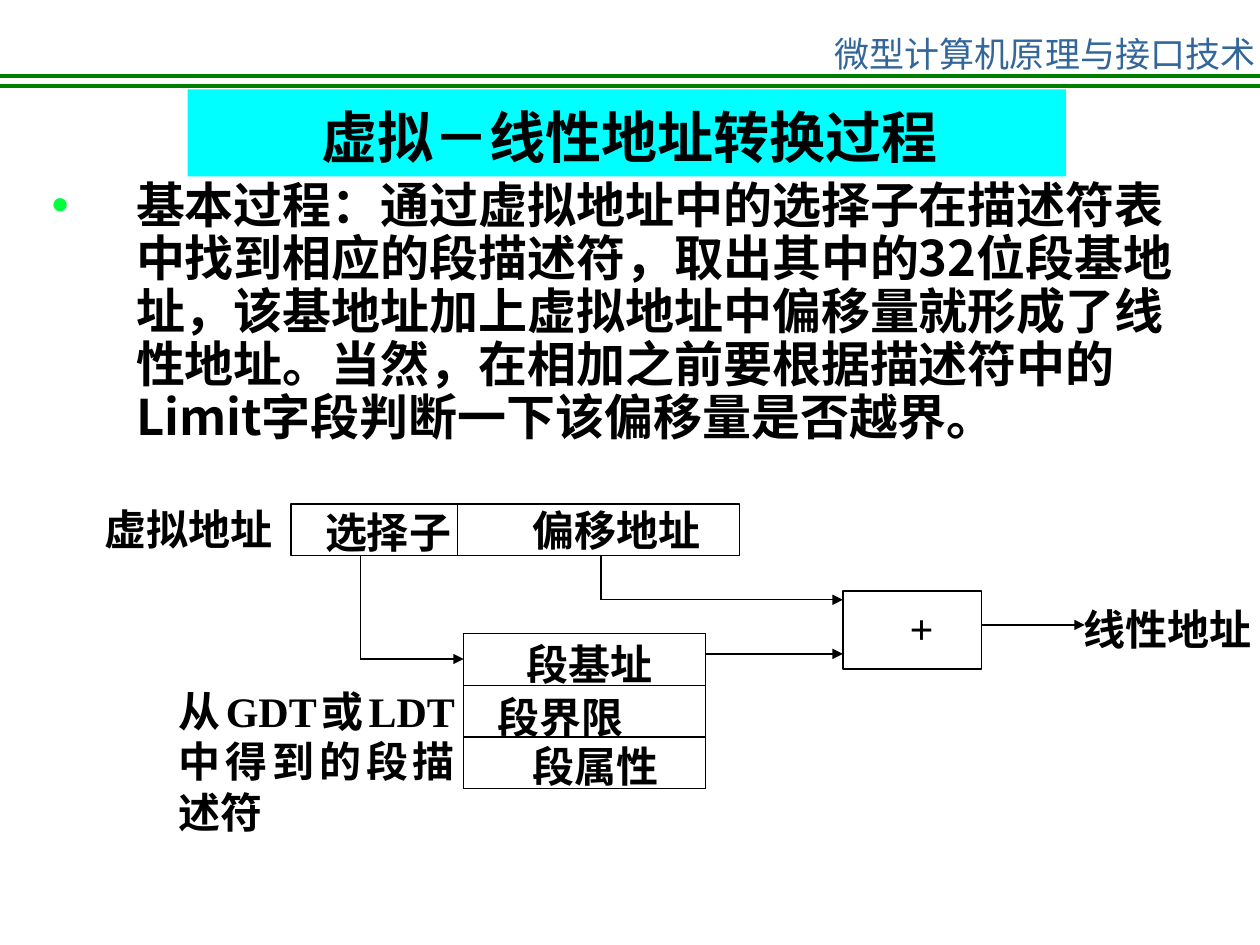
from lxml import etree
from pptx import Presentation
from pptx import util as u
from pptx.dml.color import RGBColor
from pptx.enum import shapes, text
from pptx.oxml import ns

SERIF, SANS = "Times New Roman", "Noto Sans CJK SC"
BLACK, WHITE, GREEN, BLUE, CYAN = "000000", "FFFFFF", "008000", "336699", "00FFFF"
LEFT, CENTER, JUSTIFY = text.PP_ALIGN.LEFT, text.PP_ALIGN.CENTER, text.PP_ALIGN.JUSTIFY
WIDTH, HEIGHT = 10, 7.5

# Content
HEADER = "微型计算机原理与接口技术"
TITLE = "虚拟－线性地址转换过程"
BODY = ("基本过程：通过虚拟地址中的选择子在描述符表中找到相应的段描述符，"
        "取出其中的32位段基地址，该基地址加上虚拟地址中偏移量就形成了线性地址。"
        "当然，在相加之前要根据描述符中的Limit字段判断一下该偏移量是否越界。")
LABELS = [  # wording, left, top, width, height
    ("选择子", 2.58, 4.02, 1.1, 0.39),
    ("偏移地址", 4.23, 4, 1.64, 0.62),
    ("段基址", 4.18, 5.07, 1.64, 0.62),
    ("段界限", 3.95, 5.49, 1.64, 0.62),
    ("段属性", 4.23, 5.88, 1.64, 0.62),
    ("+", 7.22, 4.78, 1.64, 0.61),
    ("虚拟地址", 0.83, 4, 1.42, 0.33),
    ("从GDT或LDT中得到的段描述符", 1.42, 5.44, 2.19, 1.44),
    ("线性地址", 8.6, 4.79, 1.64, 0.61),
]

# Diagram geometry: left, top, width, height
ADDRESS = (2.31, 4, 3.56, 0.41)
ROW = 0.41
DESCRIPTOR = (3.68, 5.03, 1.92, 3 * ROW)
ADDER = (6.69, 4.69, 1.1, 0.62)
ADDRESS_BOTTOM = ADDRESS[1] + ADDRESS[3]
DESCRIPTOR_RIGHT = DESCRIPTOR[0] + DESCRIPTOR[2]
ADDER_RIGHT = ADDER[0] + ADDER[2]
SELECTOR_X, OFFSET_X, SPLIT_X = 2.86, 4.77, 3.63
BASE_Y, OFFSET_Y, SUM_Y = 5.23, 4.76, 4.96

PLAIN_LINES = [
    (SPLIT_X, ADDRESS[1], SPLIT_X, ADDRESS_BOTTOM),
    (OFFSET_X, ADDRESS_BOTTOM, OFFSET_X, OFFSET_Y),
    (SELECTOR_X, ADDRESS_BOTTOM, SELECTOR_X, BASE_Y),
] + [(DESCRIPTOR[0], DESCRIPTOR[1] + row * ROW, DESCRIPTOR_RIGHT, DESCRIPTOR[1] + row * ROW)
     for row in (1, 2, 3)]
ARROWS = [
    (SELECTOR_X, BASE_Y, DESCRIPTOR[0], BASE_Y),
    (OFFSET_X, OFFSET_Y, ADDER[0], OFFSET_Y),
    (DESCRIPTOR_RIGHT, 5.19, ADDER[0], 5.19),
    (ADDER_RIGHT, SUM_Y, 8.61, SUM_Y),
]


def inches(values):
    return [u.Inches(value) for value in values]


def color(value):
    return RGBColor.from_string(value)


def add_xml(parent, tag, **attributes):
    return etree.SubElement(parent, ns.qn(tag), attributes)


def add_line(slide, ends, line_color=BLACK, width=0.75, arrow=False):
    line = slide.shapes.add_connector(shapes.MSO_CONNECTOR.STRAIGHT, *inches(ends))
    line.line.color.rgb = color(line_color)
    line.line.width = u.Pt(width)
    if arrow:
        add_xml(line.line._ln, "a:tailEnd", type="triangle")
    add_xml(line._element.spPr, "a:effectLst")


def add_box(slide, place, fill, outline=None):
    box = slide.shapes.add_shape(shapes.MSO_SHAPE.RECTANGLE, *inches(place))
    box.shadow.inherit = False
    box.fill.solid()
    box.fill.fore_color.rgb = color(fill)
    if outline:
        box.line.color.rgb = color(outline)
        box.line.width = u.Pt(0.75)
    else:
        box.line.fill.background()


def write(shape, place, wording, size, font=SERIF, ink=BLACK, bold=True,
          align=JUSTIFY, inset=(0, 0), wrap=True, spacing=1.0):
    shape.left, shape.top, shape.width, shape.height = inches(place)
    side, top = inset
    frame = shape.text_frame
    settings = {"word_wrap": wrap, "auto_size": text.MSO_AUTO_SIZE.NONE,
                "vertical_anchor": text.MSO_ANCHOR.TOP,
                "margin_left": u.Inches(side), "margin_right": u.Inches(side),
                "margin_top": u.Inches(top), "margin_bottom": u.Inches(top)}
    for name, value in settings.items():
        setattr(frame, name, value)
    paragraph = frame.paragraphs[0]
    for name, value in {"alignment": align, "line_spacing": spacing,
                        "space_before": u.Pt(0)}.items():
        setattr(paragraph, name, value)
    run = paragraph.add_run()
    run.text = wording
    for name, value in {"name": font, "size": u.Pt(size), "bold": bold}.items():
        setattr(run.font, name, value)
    run.font.color.rgb = color(ink)
    add_xml(run.font._element, "a:ea", typeface=SANS)
    return paragraph


def main():
    presentation = Presentation()
    presentation.slide_width, presentation.slide_height = inches((WIDTH, HEIGHT))
    slide = presentation.slides.add_slide(presentation.slide_layouts[1])
    title, body = slide.placeholders

    # Running header with double rules
    for y, thin_start in ((0.68, 0.59), (0.6, 0.57)):
        add_line(slide, (thin_start, y, WIDTH, y), GREEN)
        add_line(slide, (0, y, WIDTH, y), GREEN, 2.25)
    header = slide.shapes.add_textbox(0, 0, 0, 0)
    write(header, (6.89, 0.21, 2.81, 0.24), HEADER, 20, SANS, BLUE, False,
          CENTER, (0.1, 0.05), wrap=False)

    # Title on its band, then the explanation
    add_box(slide, (1.49, 0.71, 6.97, 0.69), CYAN)
    for placeholder in (title, body):
        slide.shapes._spTree.append(placeholder._element)
    write(title, (0.75, 0.76, 8.5, 0.8), TITLE, 32, align=CENTER, inset=(0.1, 0.05))
    paragraph = write(body, (0.31, 1.39, 9.37, 2.36), BODY, 28, SANS,
                      align=LEFT, inset=(0.1, 0.05), spacing=0.9)
    properties = paragraph._p.get_or_add_pPr()
    properties.set("marL", str(u.Inches(0.67)))
    properties.set("indent", str(u.Inches(-0.67)))
    add_xml(add_xml(properties, "a:buClr"), "a:srgbClr", val="01FF3D")
    add_xml(properties, "a:buChar", char="•")

    # Address translation diagram
    for place in (ADDRESS, DESCRIPTOR, ADDER):
        add_box(slide, place, WHITE, BLACK)
    for ends in PLAIN_LINES:
        add_line(slide, ends)
    for ends in ARROWS:
        add_line(slide, ends, arrow=True)
    for wording, *place in LABELS:
        write(slide.shapes.add_textbox(0, 0, 0, 0), place, wording, 24)

    presentation.save("out.pptx")


if __name__ == "__main__":
    main()
